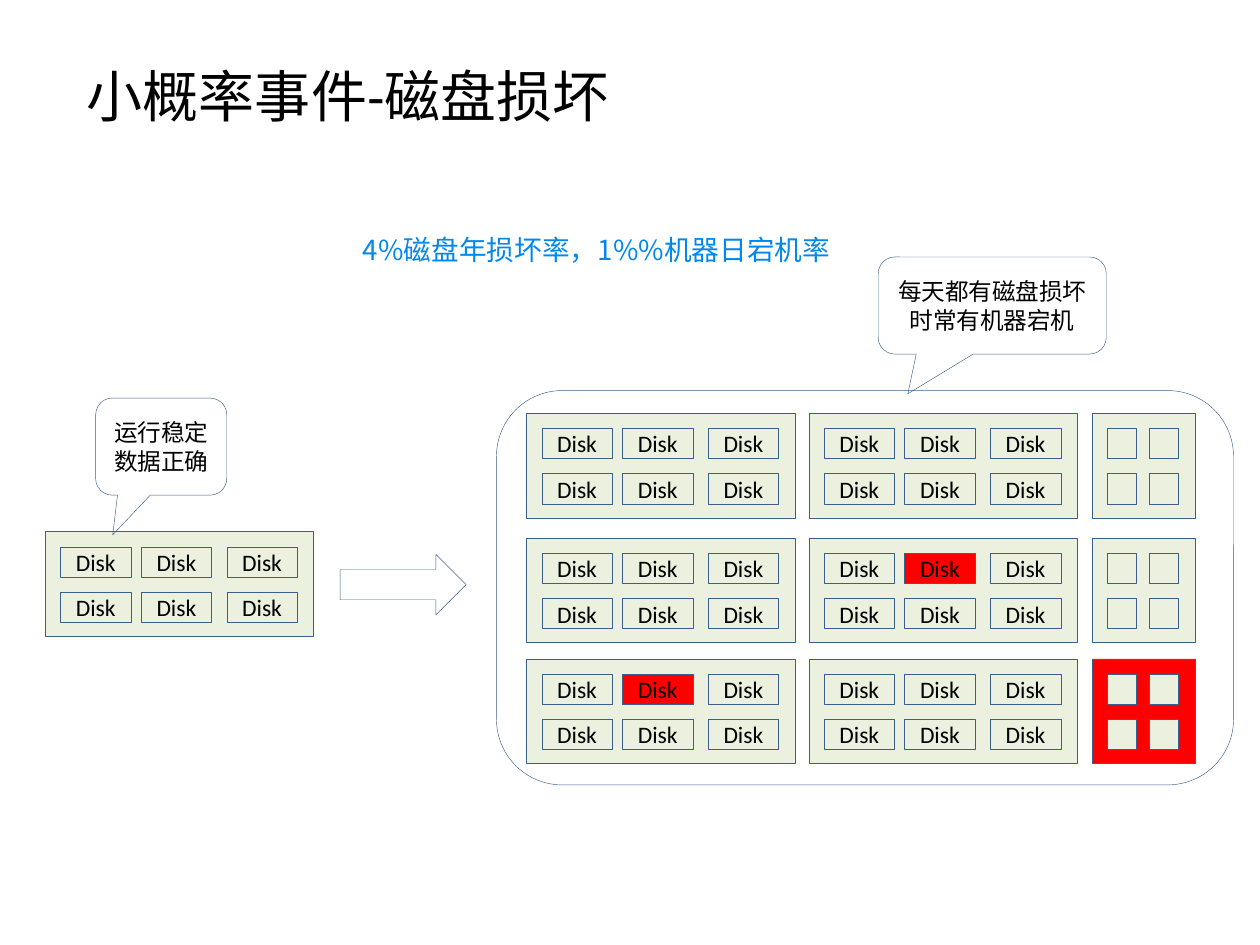
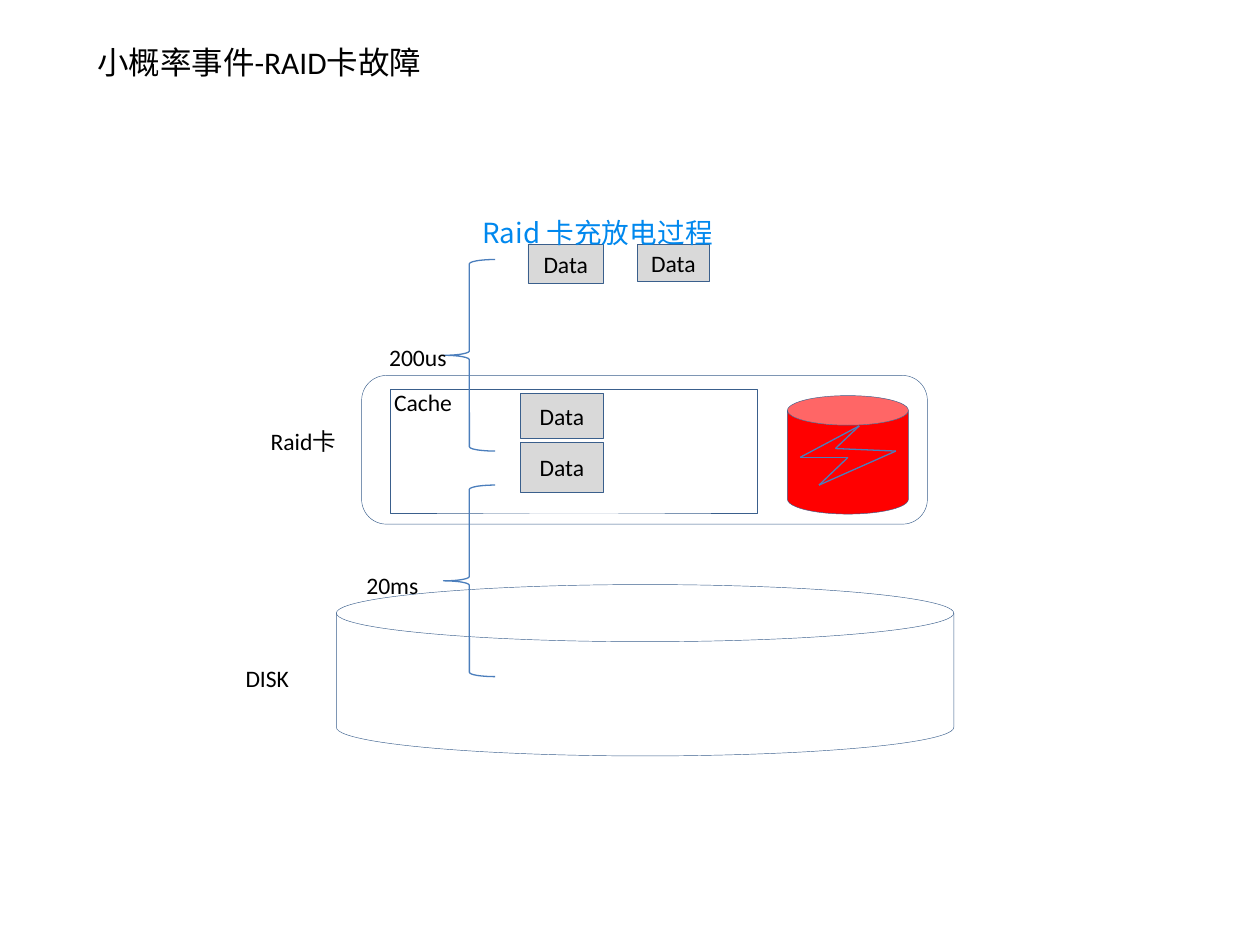
from itertools import product

from lxml import etree
from pptx import Presentation
from pptx.dml.color import RGBColor
from pptx.enum.shapes import MSO_CONNECTOR, MSO_SHAPE
from pptx.enum.text import MSO_ANCHOR, MSO_AUTO_SIZE, PP_ALIGN
from pptx.oxml.ns import qn
from pptx.util import Inches, Pt

# Shared style
LATIN, HAN = "Calibri", "Noto Sans CJK SC"
BLACK, BLUE = "000000", "0088EE"
EDGE, STROKE = "3A5F8C", "4B7EBC"
PALE, GREY, RED = "EBF1DE", "D9D9D9", "FF0000"
BODY = 13.5


def color(code):
    return RGBColor.from_string(code)


def write(frame, text, size=BODY, font=LATIN, ink=BLACK, align=PP_ALIGN.LEFT):
    frame.word_wrap = True
    frame.text = text
    for para in frame.paragraphs:
        para.alignment = align
        para.font.size = Pt(size)
        para.font.name = font
        para.font.color.rgb = color(ink)


def add_title(slide, text, left, top, width, height, size):
    title = slide.shapes.title
    title.left, title.top = Inches(left), Inches(top)
    title.width, title.height = Inches(width), Inches(height)
    frame = title.text_frame
    write(frame, text, size)
    frame.auto_size = MSO_AUTO_SIZE.NONE
    frame.vertical_anchor = MSO_ANCHOR.TOP


def add_label(slide, text, left, top, width, height=0.33, **style):
    box = slide.shapes.add_textbox(
        Inches(left), Inches(top), Inches(width), Inches(height))
    write(box.text_frame, text, **style)
    return box.text_frame


def add_caption(slide, text, left, top, width):
    frame = add_label(slide, text, left, top, width, 0.47,
                      size=15.8, font=HAN, ink=BLUE)
    frame.margin_left = frame.margin_right = Inches(0.07)
    frame.margin_top = frame.margin_bottom = Inches(0.04)
    para = frame.paragraphs[0]
    para.line_spacing = 1.5
    para.space_before = Pt(3)


def add_box(slide, kind, left, top, width, height,
            text="", fill=None, line=EDGE, weight=0.25):
    box = slide.shapes.add_shape(
        kind, Inches(left), Inches(top), Inches(width), Inches(height))
    box.shadow.inherit = False
    if fill:
        box.fill.solid()
        box.fill.fore_color.rgb = color(fill)
    else:
        box.fill.background()
    box.line.color.rgb = color(line)
    box.line.width = Pt(weight)
    if text:
        write(box.text_frame, text, align=PP_ALIGN.CENTER)
        box.text_frame.vertical_anchor = MSO_ANCHOR.MIDDLE
    return box


def add_callout(slide, text, left, top, width):
    box = add_box(slide, MSO_SHAPE.ROUNDED_RECTANGULAR_CALLOUT,
                  left, top, width, 0.77, text)
    for spot, value in enumerate((-0.37, 0.91, 0.17)):
        box.adjustments[spot] = value


def add_line(slide, start, end):
    line = slide.shapes.add_connector(
        MSO_CONNECTOR.STRAIGHT, *(Inches(v) for v in (*start, *end)))
    line.line.color.rgb = color(STROKE)
    line.line.width = Pt(0.75)
    etree.SubElement(line._element.spPr, qn("a:effectLst"))


def add_node(slide, left, top, width, cols, disk, text="",
             fill=PALE, inner=None, bad=None):
    """Draw a machine with two rows of disks; bad is (row, column)."""
    add_box(slide, MSO_SHAPE.RECTANGLE, left, top, width, 0.83, fill=fill)
    for row, col in product(range(2), range(len(cols))):
        add_box(slide, MSO_SHAPE.RECTANGLE,
                left + cols[col], top + 0.12 + 0.36 * row, disk, 0.24, text,
                fill=RED if (row, col) == bad else inner)


def add_server(slide, left, top, bad=None):
    add_node(slide, left, top, 2.13, (0.12, 0.76, 1.44), 0.56, "Disk", bad=bad)


def draw_disks(slide):
    add_title(slide, "小概率事件-磁盘损坏", 0.59, 0.44, 7.95, 0.64, 32)
    add_caption(slide, "4%磁盘年损坏率，1%%机器日宕机率", 2.81, 1.68, 4.16)

    # One machine grows into a cluster
    add_server(slide, 0.36, 4.22)
    add_callout(slide, "运行稳定\n数据正确", 0.76, 3.16, 1.04)
    add_box(slide, MSO_SHAPE.RIGHT_ARROW, 2.7, 4.4, 1, 0.48)

    # Cluster: two columns of servers and one of small machines
    tops = (3.28, 4.27, 5.23)
    faults = {(2, 0): (0, 1), (1, 1): (0, 1)}
    for (row, top), (col, left) in product(enumerate(tops),
                                           enumerate((4.18, 6.42))):
        add_server(slide, left, top, faults.get((row, col)))
    add_box(slide, MSO_SHAPE.ROUNDED_RECTANGLE, 3.94, 3.1, 5.85, 3.13)
    for top in tops:
        down = top == tops[-1]
        add_node(slide, 8.67, top, 0.82, (0.12, 0.45), 0.23,
                 fill=RED if down else PALE, inner=PALE if down else None)
    add_callout(slide, "每天都有磁盘损坏\n时常有机器宕机", 6.97, 2.04, 1.81)


def draw_raid(slide):
    add_title(slide, "小概率事件-RAID卡故障", 0.67, 0.29, 7.87, 0.4, 18)

    # Disk, card and cache
    add_box(slide, MSO_SHAPE.FLOWCHART_MAGNETIC_DISK, 2.67, 4.64, 4.9, 1.36)
    add_box(slide, MSO_SHAPE.ROUNDED_RECTANGLE, 2.87, 2.98, 4.49, 1.18)
    add_box(slide, MSO_SHAPE.RECTANGLE, 3.1, 3.09, 2.91, 0.98)

    # Data blocks
    for place in ((4.19, 1.94, 0.6, 0.31), (5.06, 1.94, 0.57, 0.29),
                  (4.13, 3.51, 0.66, 0.4), (4.13, 3.12, 0.66, 0.36)):
        add_box(slide, MSO_SHAPE.RECTANGLE, *place, "Data", GREY)

    # Battery with its bolt
    add_box(slide, MSO_SHAPE.CAN, 6.25, 3.14, 0.96, 0.94, fill=RED)
    bolt = [(6.35, 3.63), (6.82, 3.38), (6.63, 3.56),
            (7.11, 3.58), (6.5, 3.85), (6.73, 3.63)]
    for start, end in zip(bolt, bolt[1:] + bolt[:1]):
        add_line(slide, start, end)

    # Delays and labels
    for top in (2.06, 3.85):
        add_box(slide, MSO_SHAPE.LEFT_BRACE, 3.52, top, 0.41, 1.52,
                line=STROKE, weight=0.75)
    for text, left, top, width in (
            ("Raid卡", 2.05, 3.34, 0.75), ("Cache", 3.03, 3.03, 0.76),
            ("200us", 2.99, 2.67, 0.71), ("20ms", 2.81, 4.48, 0.71),
            ("DISK", 1.85, 5.22, 0.75)):
        add_label(slide, text, left, top, width)
    add_caption(slide, "Raid 卡充放电过程", 3.76, 1.54, 2.23)


def main():
    deck = Presentation()
    deck.slide_width, deck.slide_height = Inches(10), Inches(7.5)
    for draw in (draw_disks, draw_raid):
        draw(deck.slides.add_slide(deck.slide_layouts[5]))
    deck.save("out.pptx")


if __name__ == "__main__":
    main()
